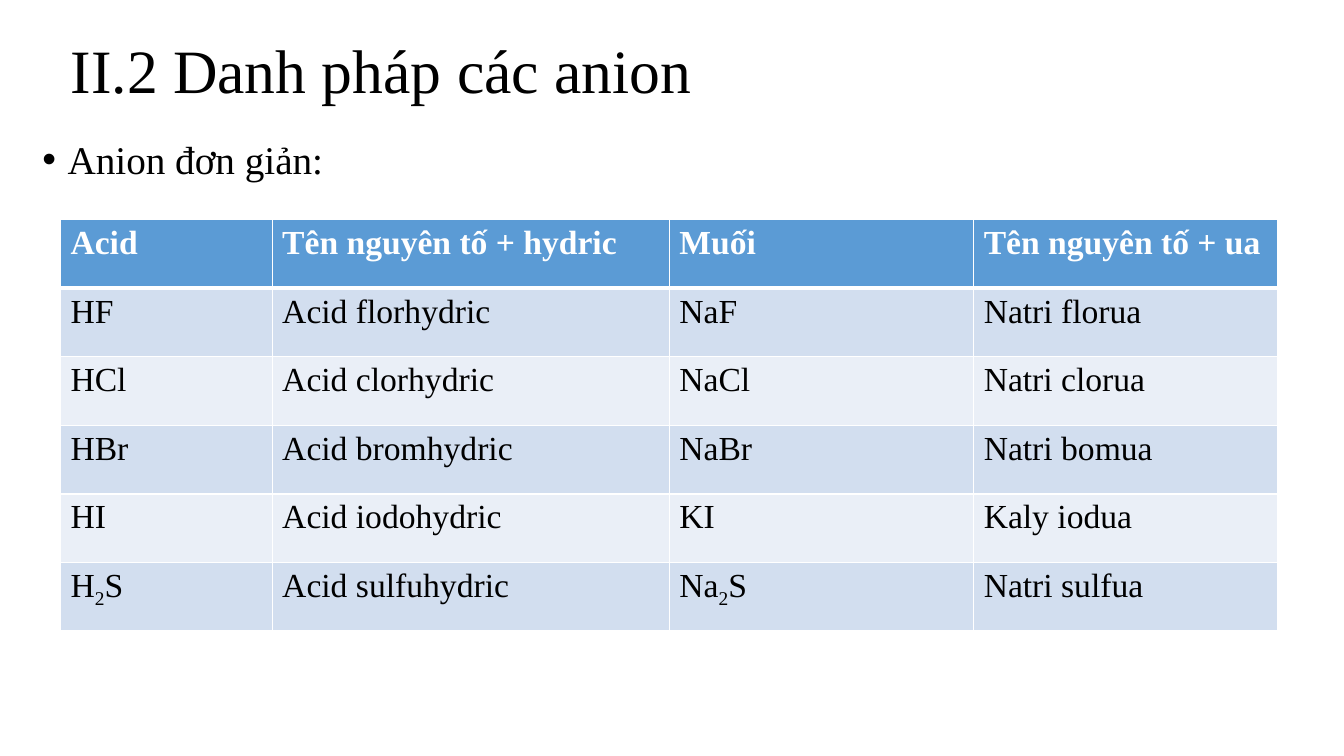
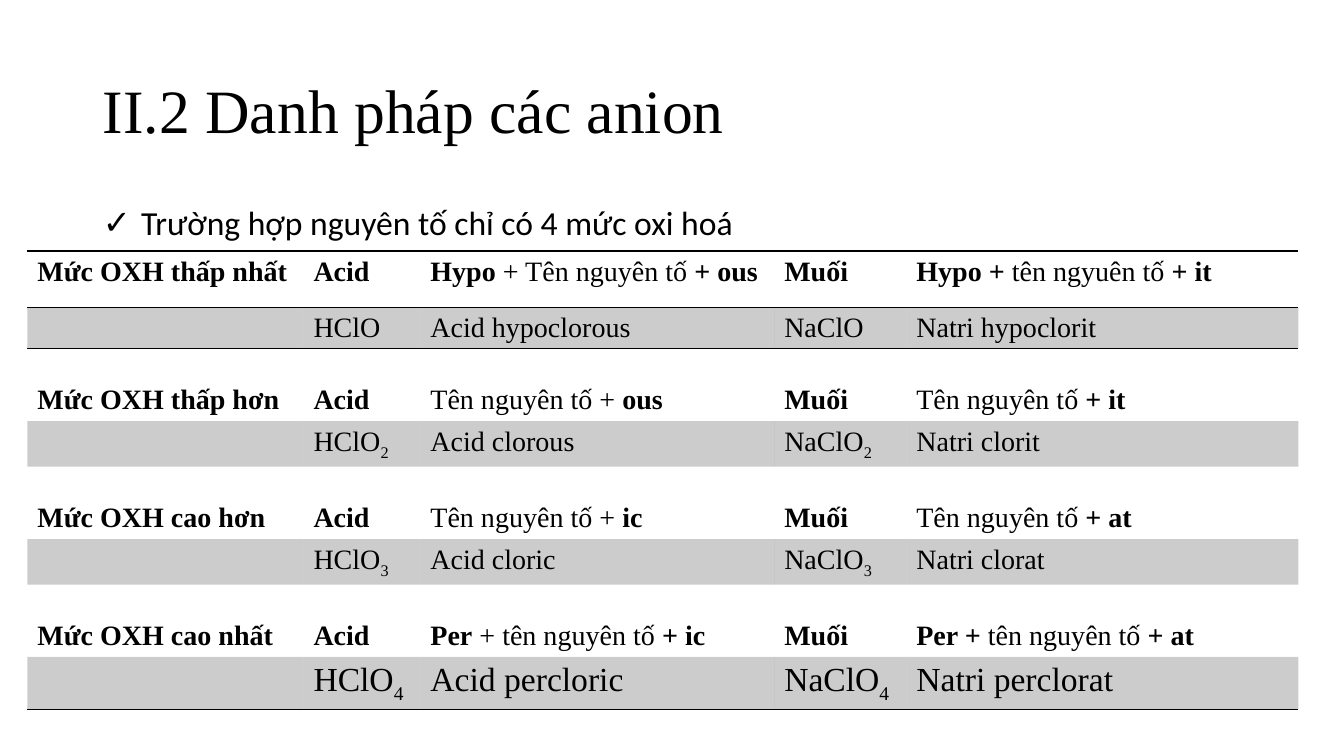
from lxml.etree import SubElement
from pptx import Presentation
from pptx.dml.color import RGBColor
from pptx.enum.text import MSO_ANCHOR, MSO_AUTO_SIZE, PP_ALIGN
from pptx.oxml.ns import qn
from pptx.util import Inches, Pt

SLIDE_WIDTH, SLIDE_HEIGHT = Inches(13.33), Inches(7.5)
BLACK = RGBColor(0x00, 0x00, 0x00)
WHITE = RGBColor(0xFF, 0xFF, 0xFF)
HEADER_BLUE = RGBColor(0x5B, 0x9B, 0xD5)
BAND_DARK = RGBColor(0xD2, 0xDE, 0xEF)
BAND_LIGHT = RGBColor(0xEA, 0xEF, 0xF7)
SERIF, SANS = "Times New Roman", "Calibri"
HEADING = "II.2 Danh pháp các anion"
NO_GRID_STYLE = "{2D5ABB26-0587-4C30-8999-92F81FD0307C}"

SIMPLE_COLUMNS = [15.75, 29.55, 22.65, 22.65]
SIMPLE_ANIONS = [
    ["*Acid*", "*Tên nguyên tố + hydric*", "*Muối*", "*Tên nguyên tố + ua*"],
    ["HF", "Acid florhydric", "NaF", "Natri florua"],
    ["HCl", "Acid clorhydric", "NaCl", "Natri clorua"],
    ["HBr", "Acid bromhydric", "NaBr", "Natri bomua"],
    ["HI", "Acid iodohydric", "KI", "Kaly iodua"],
    ["H_2_S", "Acid sulfuhydric", "Na_2_S", "Natri sulfua"],
]

OXIDATION_COLUMNS = [20.55, 8.7, 26.33, 9.83, 29.18]
OXIDATION_LEVELS = [
    ["*Mức OXH thấp nhất*", "*Acid*", "*Hypo *+ Tên nguyên tố *+ ous*", "*Muối*",
     "*Hypo + *tên ngyuên tố *+ it*"],
    ["", "HClO", "Acid hypoclorous", "NaClO", "Natri hypoclorit"],
    ["*Mức OXH thấp hơn*", "*Acid*", "Tên nguyên tố + *ous*", "*Muối*",
     "Tên nguyên tố *+ it*"],
    ["", "HClO_2_", "Acid clorous", "NaClO_2_", "Natri clorit"],
    ["*Mức OXH cao hơn*", "*Acid*", "Tên nguyên tố + *ic*", "*Muối*",
     "Tên nguyên tố *+ at*"],
    ["", "HClO_3_", "Acid cloric", "NaClO_3_", "Natri clorat"],
    ["*Mức OXH cao nhất*", "*Acid*", "*Per* + tên nguyên tố *+ ic*", "*Muối*",
     "*Per + *tên nguyên tố *+ at*"],
    ["", "HClO_4_", "Acid percloric", "NaClO_4_", "Natri perclorat"],
]


def across(percent):
    """Return a share of the slide's width."""
    return round(SLIDE_WIDTH * percent / 100)


def down(percent):
    """Return a share of the slide's height."""
    return round(SLIDE_HEIGHT * percent / 100)


def place(holder, left, top, width, height):
    """Move a placeholder to a box given in shares of the slide."""
    holder.left, holder.top = across(left), down(top)
    holder.width, holder.height = across(width), down(height)


def add_run(paragraph, text, size, font=SERIF, colour=BLACK, bold=False, subscript=False):
    """Append one formatted run."""
    run = paragraph.add_run()
    run.text = text
    run.font.size, run.font.name, run.font.bold = Pt(size), font, bold
    run.font.color.rgb = colour
    if subscript:
        run._r.get_or_add_rPr().set("baseline", "-25000")


def add_marked_text(paragraph, marked, size, colour=BLACK):
    """Append runs where *stars* mark bold and _underscores_ mark subscript."""
    for weight, stretch in enumerate(marked.split("*")):
        for level, text in enumerate(stretch.split("_")):
            if text:
                add_run(paragraph, text, size, colour=colour,
                        bold=weight % 2 == 1, subscript=level % 2 == 1)


def start_text(holder, anchor):
    """Prepare a placeholder and return its first paragraph."""
    frame = holder.text_frame
    frame.word_wrap, frame.auto_size = True, MSO_AUTO_SIZE.NONE
    frame.vertical_anchor = anchor
    return frame.paragraphs[0]


def add_titled_slide(deck, left, top):
    """Add a slide with the shared heading."""
    slide = deck.slides.add_slide(deck.slide_layouts[1])
    place(slide.shapes.title, left, top, 86.25, 19.33)
    heading = start_text(slide.shapes.title, MSO_ANCHOR.MIDDLE)
    heading.alignment, heading.line_spacing = PP_ALIGN.LEFT, 0.9
    add_run(heading, HEADING, 44)
    return slide


def fill_bullet(slide, box, text, mark, indent, size, font, level=0):
    """Write one bulleted line in the body placeholder."""
    body = slide.placeholders[1]
    place(body, *box)
    line = start_text(body, MSO_ANCHOR.TOP)
    properties = line._p.get_or_add_pPr()
    properties.set("marL", str(Inches(indent)))
    properties.set("indent", str(-Inches(indent)))
    SubElement(properties, qn("a:buChar"), char=mark)
    line.level, line.line_spacing, line.space_before = level, 0.9, Pt(0)
    add_run(line, text, size, font)


def add_grid(slide, left, top, columns, rows):
    """Add an unstyled table and return it."""
    frame = slide.shapes.add_table(len(rows), len(columns), across(left), down(top),
                                   across(sum(columns)), down(sum(rows)))
    table = frame.table
    table._tbl.tblPr.find(qn("a:tableStyleId")).text = NO_GRID_STYLE
    for column, width in zip(table.columns, columns):
        column.width = across(width)
    for row, height in zip(table.rows, rows):
        row.height = down(height)
    return table


def set_borders(cell, colour, **widths):
    """Draw the cell edges L, R, T and B at the given point widths."""
    properties = cell._tc.get_or_add_tcPr()
    for edge in "LRTB":
        if edge in widths:
            line = SubElement(properties, qn(f"a:ln{edge}"), w=str(Pt(widths[edge])))
            solid = SubElement(line, qn("a:solidFill"))
            SubElement(solid, qn("a:srgbClr"), val=str(colour))


def fill_cell(cell, colour, opacity=100):
    """Fill a cell with a colour of the given opacity."""
    cell.fill.solid()
    cell.fill.fore_color.rgb = colour
    if opacity < 100:
        tint = cell._tc.tcPr.find(qn("a:solidFill")).find(qn("a:srgbClr"))
        SubElement(tint, qn("a:alpha"), val=str(opacity * 1000))


def add_simple_anions(slide):
    """Add the banded table of simple anions."""
    table = add_grid(slide, 4.5, 29.07, SIMPLE_COLUMNS, [9.07] * len(SIMPLE_ANIONS))
    for row, names in enumerate(SIMPLE_ANIONS):
        band = HEADER_BLUE if row == 0 else BAND_DARK if row % 2 else BAND_LIGHT
        ink = BLACK if row else WHITE
        for column, name in enumerate(names):
            cell = table.cell(row, column)
            set_borders(cell, WHITE, L=1, R=1, T=3 if row == 1 else 1, B=1 if row else 3)
            fill_cell(cell, band)
            add_marked_text(cell.text_frame.paragraphs[0], name, 24, ink)


def add_oxidation_levels(slide):
    """Add the table of oxidation levels, a rule row above each example row."""
    last = len(OXIDATION_LEVELS) - 1
    table = add_grid(slide, 2.03, 33.2, OXIDATION_COLUMNS, [7.47] + [5.47] * last)
    edges = {0: {"T": 1, "B": 1}, 1: {"T": 1}, last: {"B": 1}}
    for row, names in enumerate(OXIDATION_LEVELS):
        is_example = row % 2 == 1
        for column, name in enumerate(names):
            cell = table.cell(row, column)
            set_borders(cell, BLACK, **edges.get(row, {}))
            if is_example:
                fill_cell(cell, BLACK, 20)
            line = cell.text_frame.paragraphs[0]
            if row and not is_example:
                line.line_spacing = 2.0
            add_marked_text(line, name, 24 if row == last else 20)


def main():
    """Build and save the two slides."""
    deck = Presentation()
    deck.slide_width, deck.slide_height = SLIDE_WIDTH, SLIDE_HEIGHT

    simple = add_titled_slide(deck, 4.5, 0)
    fill_bullet(simple, (2.4, 17.87, 99, 82.13), "Anion đơn giản:", "•", 0.25, 28, SERIF)
    add_simple_anions(simple)

    oxidation = add_titled_slide(deck, 6.9, 5.33)
    fill_bullet(oxidation, (6.9, 26.67, 86.25, 63.47),
                "Trường hợp nguyên tố chỉ có 4 mức oxi hoá", "✓", 0.38, 24, SANS, level=1)
    add_oxidation_levels(oxidation)

    deck.save("out.pptx")


if __name__ == "__main__":
    main()
